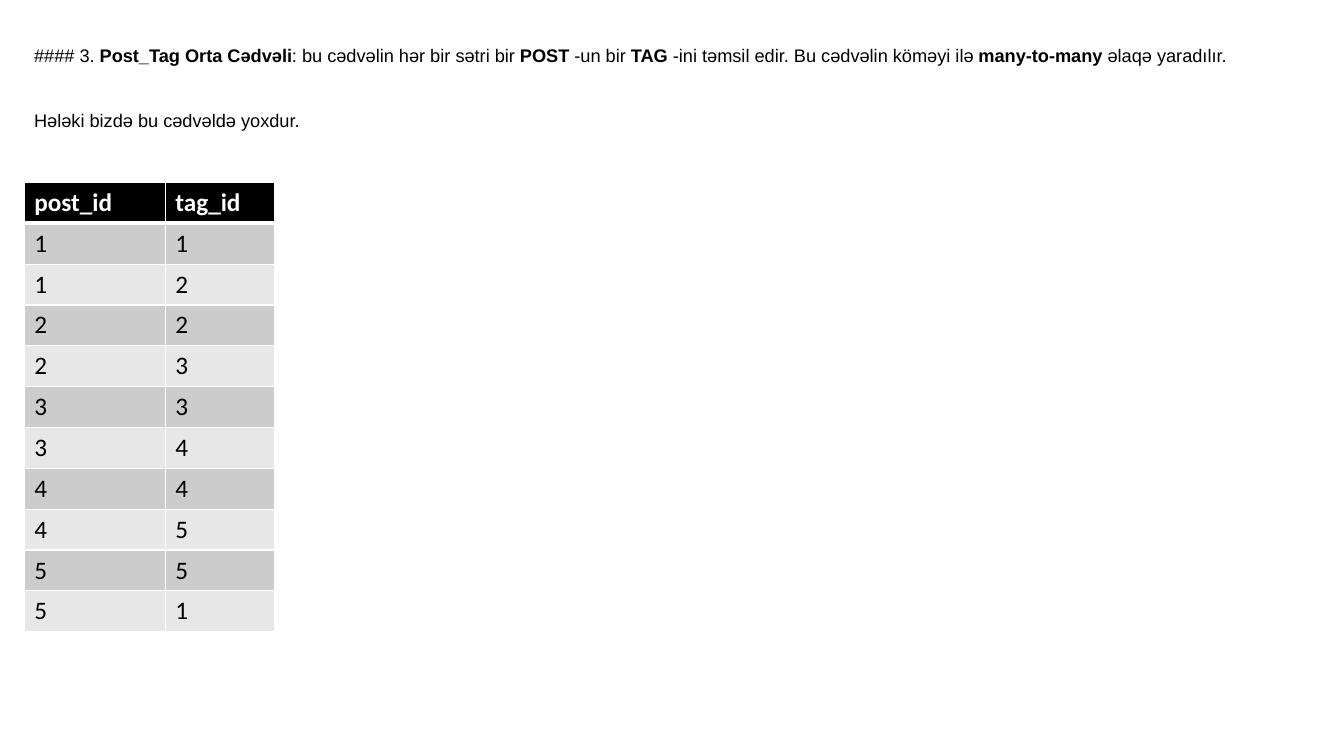
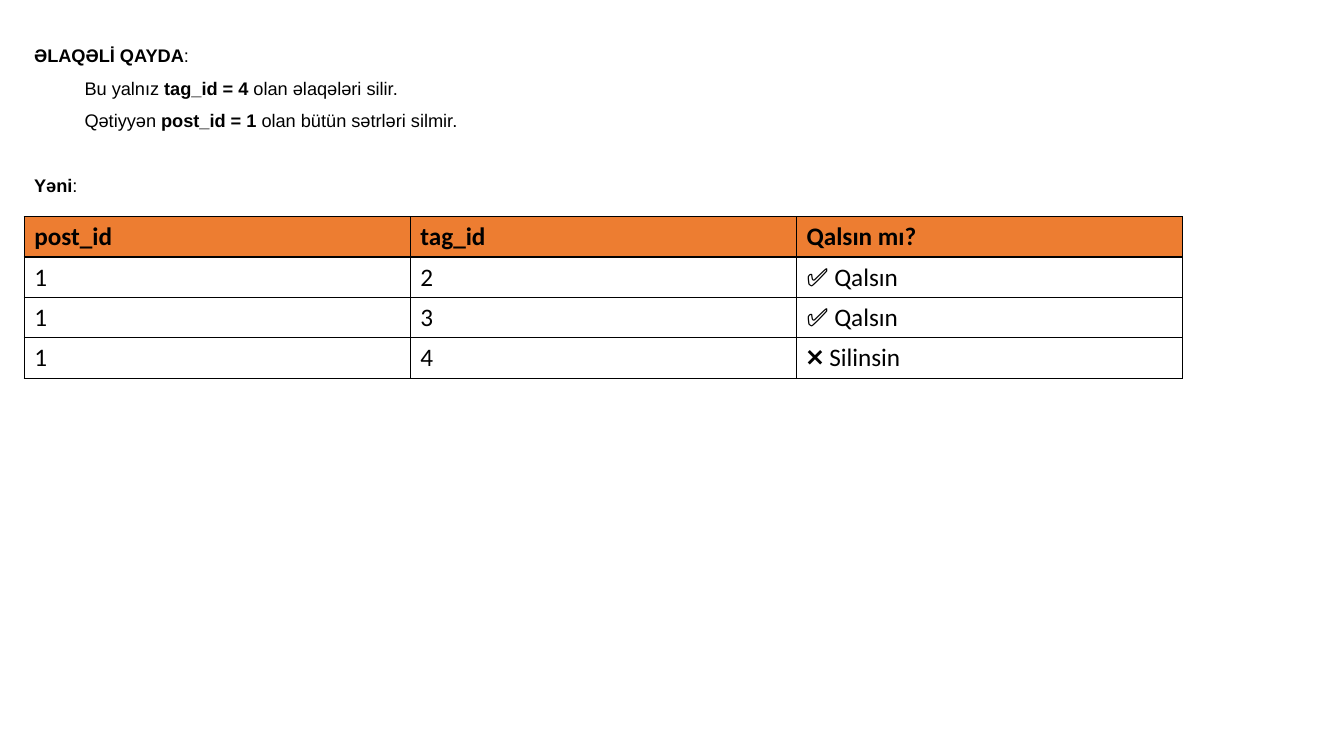
from lxml import etree
from pptx import Presentation
from pptx.dml.color import RGBColor
from pptx.enum.text import MSO_ANCHOR, MSO_AUTO_SIZE
from pptx.oxml.ns import qn
from pptx.util import Inches, Pt

TOP, MIDDLE = MSO_ANCHOR.TOP, MSO_ANCHOR.MIDDLE
FIT_SHAPE = MSO_AUTO_SIZE.SHAPE_TO_FIT_TEXT

COLORS = {
    "black": "000000",
    "white": "FFFFFF",
    "orange": "ED7D31",
    "dark_band": "CCCCCC",
    "light_band": "E7E7E7",
}
TEXT_FONT, TEXT_SIZE = "Arial", Pt(13)
TABLE_FONT, TABLE_SIZE = "Calibri", Pt(18)
EMPTY_LINE = Pt(23)

presentation = Presentation()
presentation.slide_width = Inches(13.33)
presentation.slide_height = Inches(7.5)
blank_layout = presentation.slide_layouts[6]
LEFT, TEXT_TOP, TEXT_WIDTH = Inches(0.24), Inches(0.28), Inches(12.86)


def add_text(slide, height, lines):
    box = slide.shapes.add_textbox(LEFT, TEXT_TOP, TEXT_WIDTH, Inches(height))
    frame = box.text_frame
    frame.word_wrap = True
    frame.auto_size = FIT_SHAPE
    for index, (text, level, gap) in enumerate(lines):
        paragraph = frame.add_paragraph() if index else frame.paragraphs[0]
        paragraph.line_spacing = 1.5
        if gap:
            paragraph.space_before = gap
        if level:
            paragraph.level = level
            properties = paragraph._p.get_or_add_pPr()
            properties.set("marL", str(Inches(0.5) * level))
            properties.set("indent", "0")
        for part, piece in enumerate(text.split("**")):
            if piece:
                run = paragraph.add_run()
                run.text = piece
                run.font.name = TEXT_FONT
                run.font.size = TEXT_SIZE
                run.font.bold = part % 2 == 1
                run.font.color.rgb = RGBColor.from_string(COLORS["black"])


def add_grid(slide, top, widths, row_height, rows, style):
    table = slide.shapes.add_table(
        len(rows), len(widths), LEFT, Inches(top),
        Inches(sum(widths)), Inches(row_height * len(rows)),
    ).table
    table.horz_banding = False
    for column, width in zip(table.columns, widths):
        column.width = Inches(width)
    for row_index, values in enumerate(rows):
        table.rows[row_index].height = Inches(row_height)
        is_header = row_index == 0
        fill = style["header"] if is_header else style["bands"][(row_index - 1) % 2]
        color = style["header_text"] if is_header else "black"
        edges = {"lnL": 1, "lnR": 1, "lnT": 1, "lnB": 1}
        if row_index < 2:
            edges["lnB" if is_header else "lnT"] = style["header_rule"]
        for column_index, value in enumerate(values):
            cell = table.cell(row_index, column_index)
            cell.text_frame.text = value
            cell.vertical_anchor = style["anchor"]
            properties = cell._tc.get_or_add_tcPr()
            for edge, weight in edges.items():
                line = etree.SubElement(properties, qn(f"a:{edge}"), w=str(Pt(weight)))
                solid = etree.SubElement(line, qn("a:solidFill"))
                etree.SubElement(solid, qn("a:srgbClr"), val=COLORS[style["border"]])
            cell.fill.solid()
            cell.fill.fore_color.rgb = RGBColor.from_string(COLORS[fill])
            font = cell.text_frame.paragraphs[0].runs[0].font
            font.name = TABLE_FONT
            font.size = TABLE_SIZE
            font.bold = is_header
            font.color.rgb = RGBColor.from_string(COLORS[color])


slide = presentation.slides.add_slide(blank_layout)
add_text(slide, 1.04, [
    ("#### 3. **Post_Tag Orta Cədvəli**: bu cədvəlin hər bir sətri bir **POST** -un bir "
     "**TAG** -ini təmsil edir. Bu cədvəlin köməyi ilə **many-to-many** əlaqə yaradılır.", 0, 0),
    ("Hələki bizdə bu cədvəldə yoxdur.", 0, EMPTY_LINE),
])
post_tags = [(str(post), str(tag)) for post in range(1, 6) for tag in (post, post % 5 + 1)]
add_grid(slide, 1.81, [1.4, 1.08], 4.46 / 11, [("post_id", "tag_id")] + post_tags, {
    "header": "black", "header_text": "white", "header_rule": 3, "border": "white",
    "bands": ("dark_band", "light_band"), "anchor": TOP,
})

slide = presentation.slides.add_slide(blank_layout)
add_text(slide, 1.7, [
    ("**ƏLAQƏLİ QAYDA**:", 0, 0),
    ("Bu yalnız **tag_id = 4 **olan əlaqələri silir.", 1, 0),
    ("Qətiyyən **post_id = 1 **olan bütün sətrləri silmir.", 1, 0),
    ("**Yəni**:", 0, EMPTY_LINE),
])
add_grid(slide, 2.15, [3.83] * 3, 0.4, [
    ("post_id", "tag_id", "Qalsın mı?"),
    ("1", "2", "✅ Qalsın"),
    ("1", "3", "✅ Qalsın"),
    ("1", "4", "❌ Silinsin"),
], {
    "header": "orange", "header_text": "black", "header_rule": 1, "border": "black",
    "bands": ("white", "white"), "anchor": MIDDLE,
})

presentation.save("out.pptx")
